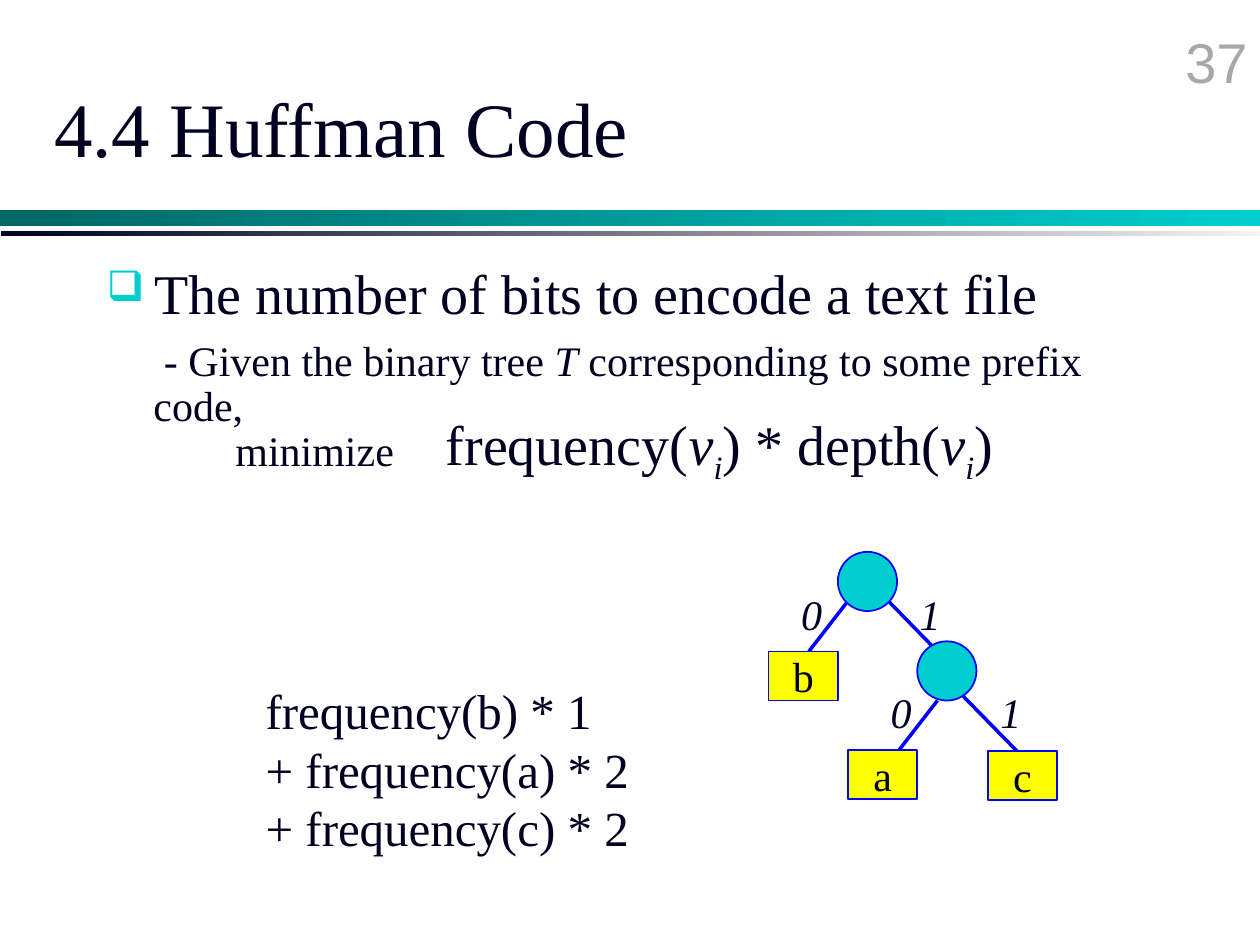
from typing import NamedTuple

from lxml import etree
from pptx import Presentation
from pptx.dml.color import RGBColor
from pptx.enum.shapes import MSO_CONNECTOR, MSO_SHAPE
from pptx.enum.text import MSO_ANCHOR, MSO_AUTO_SIZE, PP_ALIGN
from pptx.oxml.ns import qn
from pptx.util import Inches, Pt

RECT, OVAL = MSO_SHAPE.RECTANGLE, MSO_SHAPE.OVAL
LINE = MSO_CONNECTOR.STRAIGHT
LEFT, CENTER, RIGHT = PP_ALIGN.LEFT, PP_ALIGN.CENTER, PP_ALIGN.RIGHT
MIDDLE = MSO_ANCHOR.MIDDLE
NO_FIT = MSO_AUTO_SIZE.NONE

COLORS = {"ink": "000020", "teal": "00CECE", "deep": "006666", "pale": "F3F3F3",
          "gray": "A8A8A8", "blue": "0000FF", "gold": "FFFF00"}
SERIF, SANS = "Times New Roman", "Arial"
PLAIN, ITALIC, SUB = "plain", "italic", "sub"


class Bar(NamedTuple):
    box: tuple
    start: str
    end: str


class Node(NamedTuple):
    kind: int
    box: tuple
    fill: str
    label: str = ""


class Edge(NamedTuple):
    start: tuple
    end: tuple


class Label(NamedTuple):
    box: tuple
    lines: list
    size: int
    wrap: bool = False
    align: int = LEFT
    color: str = "ink"
    face: str = SERIF


BARS = [Bar((0, 1.67, 10, 0.12), "deep", "teal"),
        Bar((0.01, 1.83, 9.99, 0.04), "ink", "pale")]

EDGES = [Edge((6.73, 4.77), (6.42, 5.17)), Edge((7.44, 5.56), (7.13, 5.96)),
         Edge((7.05, 4.77), (7.44, 5.17)), Edge((7.6, 5.48), (8.07, 5.96))]

NODES = [Node(OVAL, (x, y, 0.47, 0.47), "teal") for x, y in [(6.65, 4.38), (7.28, 5.09)]]
NODES += [Node(RECT, (x, y, 0.55, 0.39), "gold", name)
          for x, y, name in [(6.1, 5.17, "b"), (6.73, 5.95, "a"), (7.84, 5.96, "c")]]

VERTEX = [("v", ITALIC), ("i", SUB)]
COST = [("frequency(", PLAIN), *VERTEX, (") * depth(", PLAIN), *VERTEX, (")", PLAIN)]
GIVEN = [(" - Given the binary tree ", PLAIN), ("T", ITALIC),
         (" corresponding to some prefix code,", PLAIN)]
TERMS = ["frequency(b) * 1", "+ frequency(a) * 2", "+ frequency(c) * 2"]

LABELS = [Label((7.92, 0.17, 2.08, 0.5), [[("37", PLAIN)]], 32, True, RIGHT, "gray", SANS),
          Label((3.44, 3.2, 4.6, 0.64), [COST], 32),
          Label((2.01, 5.35, 3.09, 1.5), [[(term, PLAIN)] for term in TERMS], 28),
          Label((1.77, 3.32, 1.46, 0.5), [[("minimize", PLAIN)]], 24)]
LABELS += [Label((x, y, 0.55, 0.5), [[(bit, ITALIC)]], 24, True)
           for x, y, bit in [(6.26, 4.62, "0"), (7.2, 4.62, "1"),
                             (6.97, 5.4, "0"), (7.84, 5.4, "1")]]
TOPIC = Label((0.75, 2, 8.5, 4.67),
              [[("The number of bits to encode a text file", PLAIN)]], 32, True)
DETAIL = Label((0.12, 2.65, 9.36, 0.46), [GIVEN], 24, True)


def rgb(name: str) -> RGBColor:
    """Look up a colour."""
    return RGBColor.from_string(COLORS[name])


def span(box: tuple) -> list:
    """Turn a box into lengths."""
    return [Inches(side) for side in box]


def style(para, size: int, color: str = "ink", face: str = SERIF) -> None:
    """Set the font of a paragraph."""
    para.font.size, para.font.name = Pt(size), face
    para.font.color.rgb = rgb(color)


def draw_bar(shapes, bar: Bar) -> None:
    """Draw a gradient rule."""
    shape = shapes.add_shape(RECT, *span(bar.box))
    shape.shadow.inherit = False
    shape.line.fill.background()
    shape.fill.gradient()
    shape.fill.gradient_angle = 0
    for stop, name in zip(shape.fill.gradient_stops, (bar.start, bar.end)):
        stop.color.rgb = rgb(name)


def draw_edge(shapes, edge: Edge) -> None:
    """Draw a branch of the tree."""
    line = shapes.add_connector(LINE, *span(edge.start + edge.end))
    line.line.color.rgb, line.line.width = rgb("blue"), Pt(2)
    etree.SubElement(line._element.spPr, qn("a:effectLst"))


def draw_node(shapes, node: Node) -> None:
    """Draw a node of the tree."""
    shape = shapes.add_shape(node.kind, *span(node.box))
    shape.shadow.inherit = False
    shape.fill.solid()
    shape.fill.fore_color.rgb = rgb(node.fill)
    shape.line.color.rgb, shape.line.width = rgb("blue"), Pt(1)
    if node.label:
        frame = shape.text_frame
        frame.word_wrap, frame.vertical_anchor = False, MIDDLE
        para = frame.paragraphs[0]
        para.text, para.alignment = node.label, CENTER
        style(para, 24)


def draw_label(shapes, label: Label):
    """Draw a text box and return its first paragraph."""
    frame = shapes.add_textbox(*span(label.box)).text_frame
    frame.word_wrap = label.wrap
    for pos, line in enumerate(label.lines):
        para = frame.add_paragraph() if pos else frame.paragraphs[0]
        para.alignment = label.align
        for text, look in line:
            run = para.add_run()
            run.text = text
            if look != PLAIN:
                run.font.italic = True
            if look == SUB:
                run._r.get_or_add_rPr().set("baseline", "-25000")
        style(para, label.size, label.color, label.face)
    return frame.paragraphs[0]


def indent(para, left: float, first: float):
    """Set the indents of a paragraph and return its properties."""
    props = para._p.get_or_add_pPr()
    props.set("marL", str(Inches(left)))
    props.set("indent", str(Inches(first)))
    return props


def add_bullet(para) -> None:
    """Give a paragraph a teal box bullet."""
    props = indent(para, 0.38, -0.38)
    tint = etree.Element(qn("a:buClr"))
    etree.SubElement(tint, qn("a:srgbClr"), val=COLORS["teal"])
    size = etree.Element(qn("a:buSzPct"), val="75000")
    mark = etree.Element(qn("a:buChar"), char="❑")
    for pos, item in enumerate((tint, size, mark)):
        props.insert(pos, item)


def main() -> None:
    """Build the slide."""
    deck = Presentation()
    deck.slide_width, deck.slide_height = Inches(10), Inches(7.5)
    slide = deck.slides.add_slide(deck.slide_layouts[5])
    shapes = slide.shapes
    title = shapes.title
    title.left, title.top, title.width, title.height = span((0.33, 0.38, 8.5, 1.25))
    frame = title.text_frame
    frame.auto_size, frame.vertical_anchor = NO_FIT, MIDDLE
    head = frame.paragraphs[0]
    head.text, head.alignment = "4.4 Huffman Code", LEFT
    style(head, 44)
    for bar in BARS:
        draw_bar(shapes, bar)
    add_bullet(draw_label(shapes, TOPIC))
    for edge in EDGES:
        draw_edge(shapes, edge)
    for node in NODES:
        draw_node(shapes, node)
    for label in LABELS:
        draw_label(shapes, label)
    given = draw_label(shapes, DETAIL)
    indent(given, 1, 0)
    given.line_spacing = 0.9
    deck.save("out.pptx")


if __name__ == "__main__":
    main()
